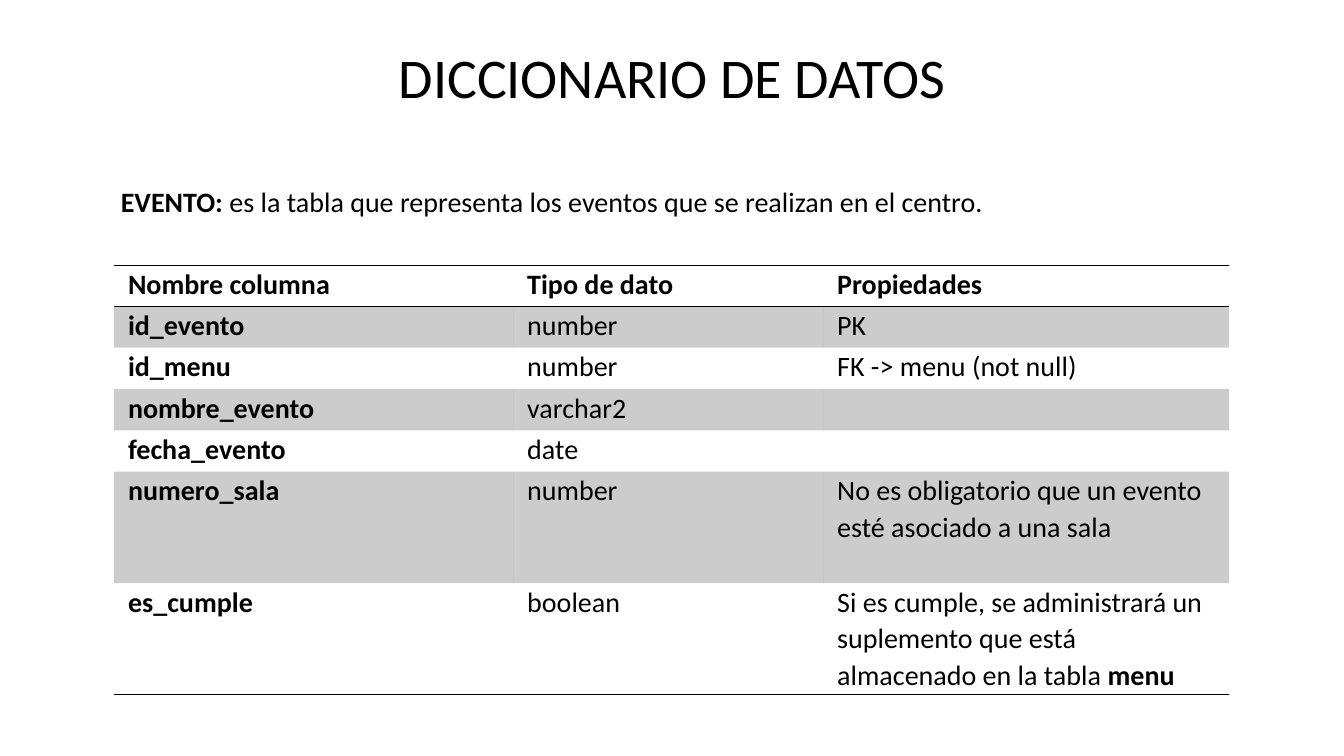
import pptx
import pptx.util
import pptx.dml.color
import pptx.enum.text
import pptx.oxml

Inches, Pt = pptx.util.Inches, pptx.util.Pt
Align, Anchor = pptx.enum.text.PP_ALIGN, pptx.enum.text.MSO_ANCHOR
BLACK = "000000"
NAMESPACE = 'xmlns:a="http://schemas.openxmlformats.org/drawingml/2006/main"'
NO_STYLE = "{2D5ABB26-0587-4C30-8999-92F81FD0307C}"


def color(hex_value):
    return pptx.dml.color.RGBColor.from_string(hex_value)


def write(paragraph, text, size, **layout):
    """Write text into a paragraph; parts between ** marks are bold."""
    for name, value in layout.items():
        setattr(paragraph, name, value)
    for index, part in enumerate(text.split("**")):
        if part:
            run = paragraph.add_run()
            run.text = part
            font_format = {"name": "Calibri", "size": Pt(size), "bold": index % 2 == 1}
            for name, value in font_format.items():
                setattr(run.font, name, value)
            run.font.color.rgb = color(BLACK)


presentation = pptx.Presentation()
presentation.slide_width, presentation.slide_height = Inches(13.33), Inches(7.5)
slide = presentation.slides.add_slide(presentation.slide_layouts[6])

# Title and description: top, height, text, size, paragraph layout
text_blocks = [
    (0.19, 1.22, "DICCIONARIO DE DATOS", 40, {"alignment": Align.CENTER}),
    (1.6, 0.84, "**EVENTO:** es la tabla que representa los eventos que se realizan en el centro.",
     20, {"space_after": Pt(8)}),
]
for top, height, text, size, layout in text_blocks:
    box = slide.shapes.add_textbox(Inches(1.1), Inches(top), Inches(11.13), Inches(height))
    box.text_frame.word_wrap = True
    box.text_frame.vertical_anchor = Anchor.MIDDLE
    write(box.text_frame.paragraphs[0], text, size, line_spacing=0.9, **layout)

# Data dictionary contents
records = [
    ("Nombre columna", "**Tipo de dato**", "**Propiedades**"),
    ("id_evento", "number", "PK"),
    ("id_menu", "number", "FK -> menu (not null)"),
    ("nombre_evento", "varchar2", ""),
    ("fecha_evento", "date", ""),
    ("numero_sala", "number", "No es obligatorio que un evento esté asociado a una sala"),
    ("es_cumple", "boolean",
     "Si es cumple, se administrará un suplemento que está almacenado en la tabla **menu**"),
]

# Table grid: column shares of the width, row heights in single-line rows
table_width, line_height = 11.06, 0.41
column_shares = [0.358, 0.278, 0.364]
row_spans = [1, 1, 1, 1, 1, 2.7, 2.7]
frame = slide.shapes.add_table(
    len(records), len(column_shares), Inches(1.13), Inches(2.63),
    Inches(table_width), Inches(line_height * sum(row_spans)))
table = frame.table
table.first_row = table.horz_banding = False
table._tbl.tblPr[0].text = NO_STYLE
for column, share in zip(table.columns, column_shares):
    column.width = Inches(table_width * share)
for row, span in zip(table.rows, row_spans):
    row.height = Inches(line_height * span)

# Cells: bold names, grey bands, rules around the header and at the bottom
cell_format = {"margin_left": Inches(0.14), "margin_right": Inches(0.14),
               "margin_top": 0, "margin_bottom": 0}
last_row = len(records) - 1
for row_index, (column_name, data_type, properties) in enumerate(records):
    for column_index, text in enumerate((f"**{column_name}**", data_type, properties)):
        cell = table.cell(row_index, column_index)
        for name, value in cell_format.items():
            setattr(cell, name, value)
        write(cell.text_frame.paragraphs[0], text, 20, line_spacing=1.07, space_after=Pt(8))

        cell_properties = cell._tc.get_or_add_tcPr()
        if row_index % 2 == 1:
            cell.fill.solid()
            cell.fill.fore_color.rgb = color(BLACK)
            cell_properties[0][0].append(
                pptx.oxml.parse_xml(f'<a:alpha {NAMESPACE} val="20000"/>'))
        else:
            cell.fill.background()

        sides = {0: ["lnT", "lnB"], last_row: ["lnB"]}.get(row_index, [])
        for position, side in enumerate(sides):
            cell_properties.insert(position, pptx.oxml.parse_xml(
                f'<a:{side} {NAMESPACE} w="12700"><a:solidFill>'
                f'<a:srgbClr val="{BLACK}"/></a:solidFill></a:{side}>'))

presentation.save("out.pptx")
